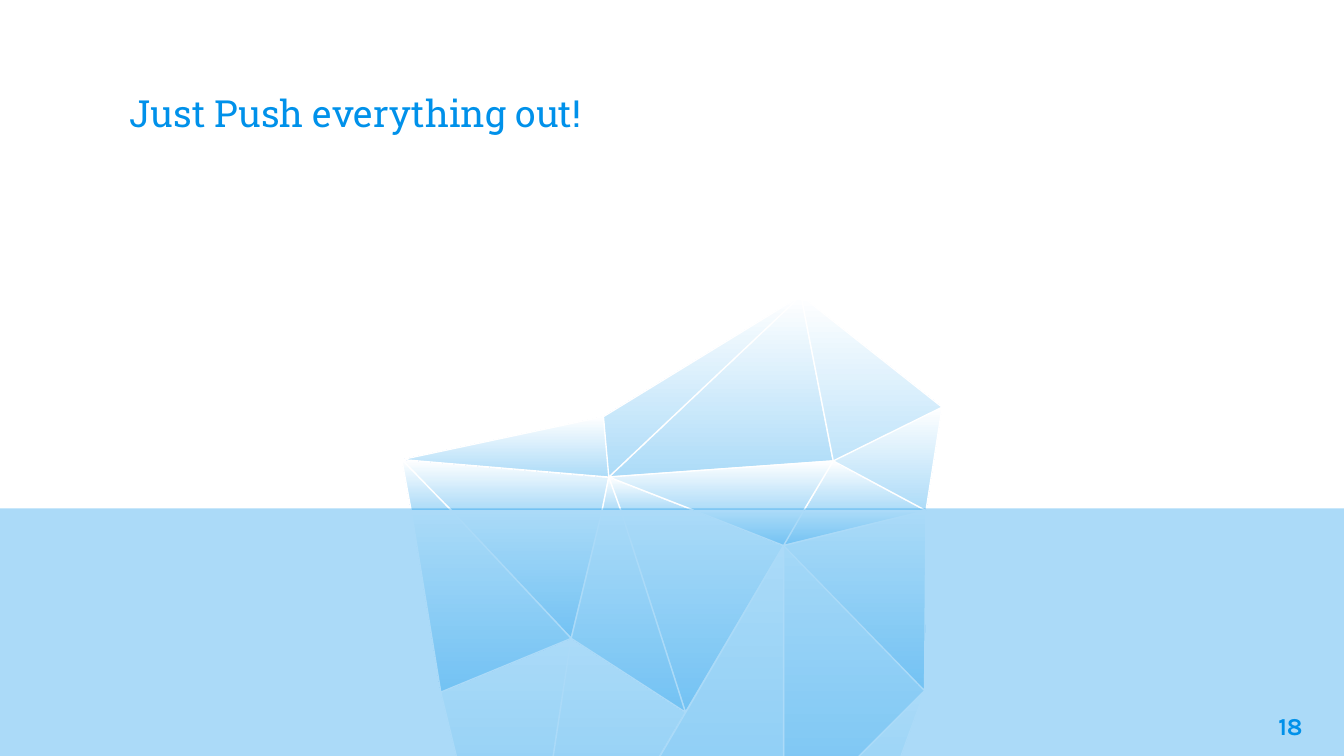
from lxml import etree
from pptx import Presentation
from pptx import util as u
from pptx.dml.color import RGBColor
from pptx.enum import shapes, text
from pptx.oxml.ns import qn

COLORS = {"snow": "FFFFFF", "ice": "ACDBF8", "sea": "0091EA"}

deck = Presentation()
deck.slide_width = u.Inches(10)
deck.slide_height = deck.slide_width * 9 // 16
slide = deck.slides.add_slide(deck.slide_layouts[6])
UNIT = deck.slide_width / 100  # one percent of the slide's width, both ways


def rgb(name):
    return RGBColor.from_string(COLORS[name])


def add_label(box, words, anchor, align, **font_values):
    label = slide.shapes.add_textbox(*(round(n * UNIT) for n in box))
    frame = label.text_frame
    margins = {f"margin_{side}": u.Inches(0.1) for side in ("left", "right", "top", "bottom")}
    for key, value in {"word_wrap": True, "vertical_anchor": anchor, **margins}.items():
        setattr(frame, key, value)
    line = frame.paragraphs[0]
    line.alignment = align
    run = line.add_run()
    run.text = words
    for key, value in font_values.items():
        setattr(run.font, key, value)
    run.font.color.rgb = rgb("sea")


# Corners of the iceberg: above the water, on the waterline, below it
WATERLINE = 38
corners = {
    "left": (29.9, 34.2), "shoulder": (44.9, 31), "peak": (59.6, 22),
    "right": (70.1, 30.3), "hub": (45.3, 35.5), "ridge": (62, 34.3),
    "deep": (58.3, 40.6), "knee": (42.5, 47.5), "heart": (51, 53),
    "west": (32.8, 51.5), "east": (68.8, 51.4), "root": (58.3, 61.9),
    "foot": (38.4, 74.5), "toe": (61.5, 71.5),
}
for number, x in enumerate((30.6, 33.6, 44.8, 46.2, 51.7, 59.8, 68.9), start=1):
    corners[f"w{number}"] = (x, WATERLINE)

# Facets from back to front
facets = """
w7 left w2
peak hub ridge
peak right w7 ridge
left w2 w1
hub w3 w2 left
peak hub left shoulder
ridge w7 w6
w4 hub w5
left w2 w1
shoulder hub left
right ridge w7
w4 hub w3
w7 east root deep
knee foot west
w3 knee w2
w7 deep w6
heart w4 w5 deep
heart knee foot
deep foot root
w2 knee west w1
w7 deep east
knee heart w4 w3
east toe root
hub ridge w6 w5
deep w6 w5
"""
for facet in facets.strip().splitlines():
    points = [tuple(n * UNIT for n in corners[name]) for name in facet.split()]
    outline = slide.shapes.build_freeform(*points[0])
    outline.add_line_segments(points[1:], close=True)
    ice = outline.convert_to_shape()
    ice.shadow.inherit = False
    ice.fill.gradient()
    ice.fill.gradient_angle = 270
    for stop, name in zip(ice.fill.gradient_stops, ("snow", "ice")):
        stop.color.rgb = rgb(name)
    ice.line.color.rgb = rgb("snow")
    ice.line.width = u.Pt(0.75)

add_label((8.65, 3.35, 82.8, 7.7), "Just Push everything out!",
          text.MSO_ANCHOR.BOTTOM, text.PP_ALIGN.LEFT, name="Roboto Slab", size=u.Pt(20))

# Translucent sea over the lower third
sea_top = round(37.83 * UNIT)
sea = slide.shapes.add_shape(shapes.MSO_SHAPE.RECTANGLE, 0, sea_top,
                             deck.slide_width, deck.slide_height - sea_top)
sea.shadow.inherit = False
sea.fill.solid()
sea.fill.fore_color.rgb = rgb("sea")
sea.line.fill.background()
tint = sea.fill._xPr.find(qn("a:solidFill"))[0]
etree.SubElement(tint, qn("a:alpha"), val="33000")

add_label((91.9, 51.95, 6, 4.3), "18", text.MSO_ANCHOR.TOP, text.PP_ALIGN.RIGHT,
          name="Karla", size=u.Pt(13), bold=True)

deck.save("out.pptx")
